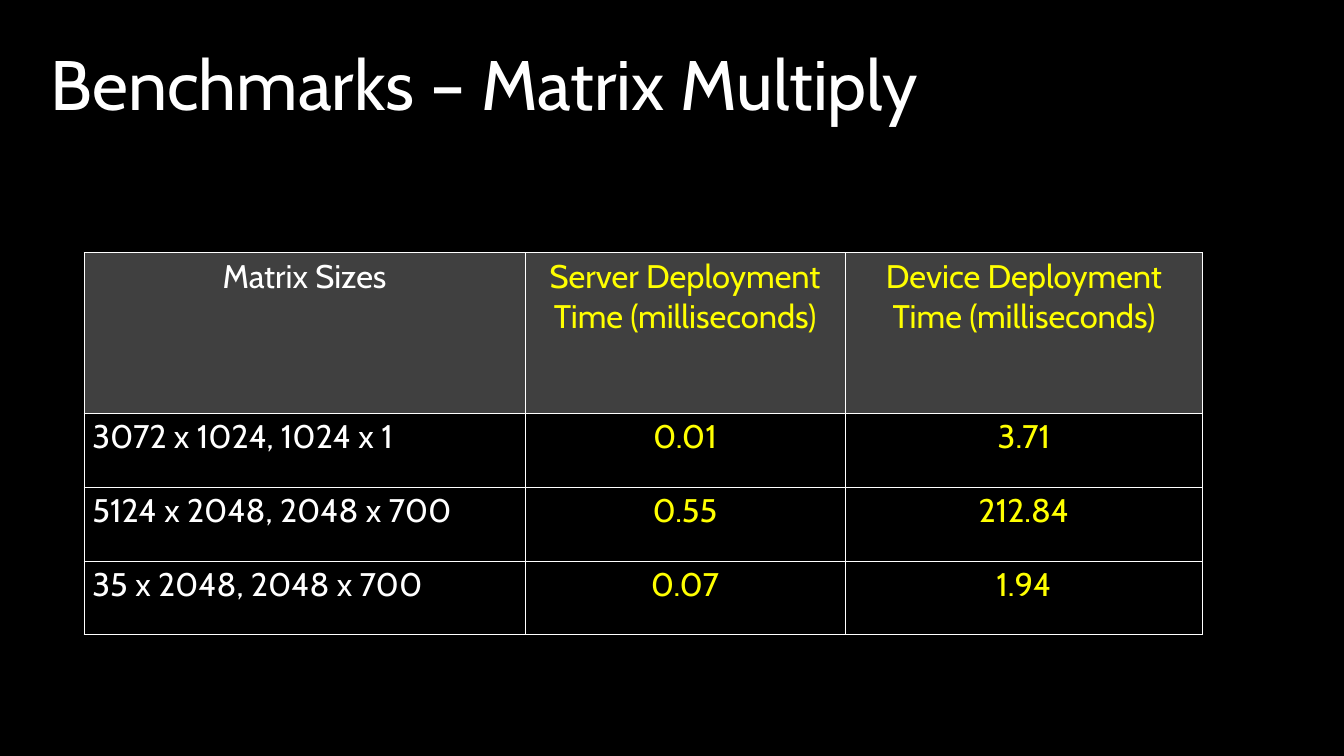
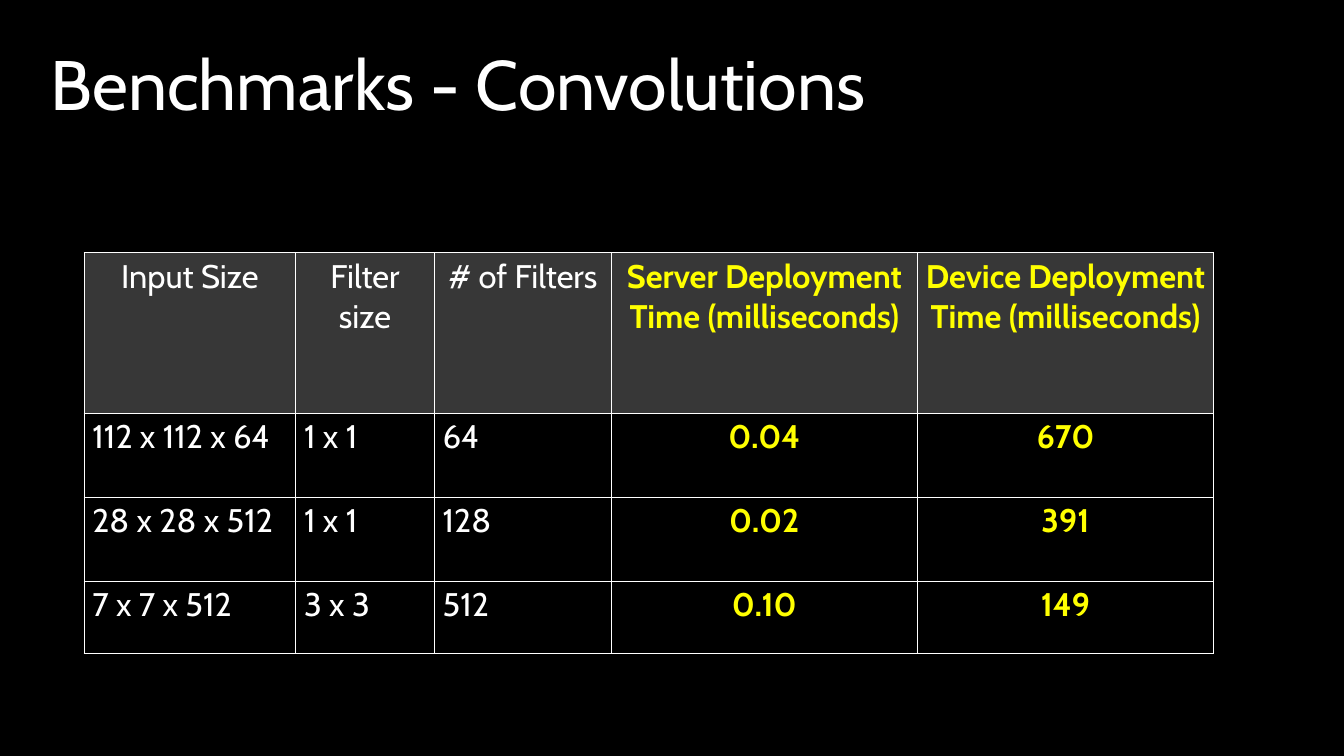
"""Build the two benchmark slides, each a title above a bordered table."""
from lxml.etree import SubElement
from pptx import Presentation
from pptx.dml.color import RGBColor
from pptx.enum.text import MSO_ANCHOR, MSO_AUTO_SIZE, PP_ALIGN
from pptx.oxml.ns import qn
from pptx.util import Inches, Pt

BLACK = RGBColor(0x00, 0x00, 0x00)
WHITE = RGBColor(0xFF, 0xFF, 0xFF)
YELLOW = RGBColor(0xFF, 0xFF, 0x00)
DARK_GRAY = RGBColor(0x40, 0x40, 0x40)
DEEP_GRAY = RGBColor(0x37, 0x37, 0x37)

FONT = "Cabin"
TITLE_FONT = {"name": FONT, "size": Pt(60), "bold": False}
CELL_FONT = {"name": FONT, "size": Pt(28)}
TITLE_FRAME = {
    "margin_left": Inches(0.1), "margin_right": Inches(0.1),
    "margin_top": Inches(0.1), "margin_bottom": Inches(0.1),
    "vertical_anchor": MSO_ANCHOR.TOP, "word_wrap": True,
    "auto_size": MSO_AUTO_SIZE.NONE,
}
TITLE_AREA = {"left": Inches(0.5), "top": Inches(0.5),
              "width": Inches(15), "height": Inches(1.2)}
TABLE_LEFT, TABLE_TOP = 1, 3.01
BORDER_WIDTH = Pt(0.96)
BORDER_SIDES = ("a:lnL", "a:lnR", "a:lnT", "a:lnB")
TIME_COLUMNS = 2
TIME_HEADERS = ["Server Deployment\nTime (milliseconds)",
                "Device Deployment\nTime (milliseconds)"]

BENCHMARKS = [
    {
        "title": "Benchmarks – Matrix Multiply",
        "header_fill": DARK_GRAY,
        "bold_times": False,
        "columns": [5.25, 3.81, 4.26],
        "heights": [1.91, 0.88, 0.88, 0.88],
        "rows": [
            ["Matrix Sizes", *TIME_HEADERS],
            ["3072 x 1024, 1024 x 1", "0.01", "3.71"],
            ["5124 x 2048, 2048 x 700", "0.55", "212.84"],
            ["35 x 2048, 2048 x 700", "0.07", "1.94"],
        ],
    },
    {
        "title": "Benchmarks - Convolutions",
        "header_fill": DEEP_GRAY,
        "bold_times": True,
        "columns": [2.52, 1.65, 2.11, 3.64, 3.53],
        "heights": [1.91, 1, 1, 0.86],
        "rows": [
            ["Input Size", "Filter size", "# of Filters", *TIME_HEADERS],
            ["112 x 112 x 64", "1 x 1", "64", "0.04", "670"],
            ["28 x 28 x 512", "1 x 1", "128", "0.02", "391"],
            ["7 x 7 x 512", "3 x 3", "512", "0.10", "149"],
        ],
    },
]


def apply(target, values):
    for name, value in values.items():
        setattr(target, name, value)


def style_paragraph(para, align, color, font):
    para.alignment = align
    for span in para.runs:
        apply(span.font, font)
        span.font.color.rgb = color


def add_title(page, text):
    title = page.shapes.title
    apply(title, TITLE_AREA)
    apply(title.text_frame, TITLE_FRAME)
    title.text_frame.text = text
    para = title.text_frame.paragraphs[0]
    para.line_spacing = 0.9
    style_paragraph(para, PP_ALIGN.LEFT, WHITE, TITLE_FONT)


def add_borders(cell):
    properties = cell._tc.get_or_add_tcPr()
    for side in BORDER_SIDES:
        line = SubElement(properties, qn(side), w=str(BORDER_WIDTH))
        fill = SubElement(line, qn("a:solidFill"))
        SubElement(fill, qn("a:srgbClr"), val=str(WHITE))


def add_benchmark_table(page, benchmark):
    rows, columns, heights = (benchmark[key] for key in ("rows", "columns", "heights"))
    area = [Inches(n) for n in (TABLE_LEFT, TABLE_TOP, sum(columns), sum(heights))]
    table = page.shapes.add_table(len(rows), len(columns), *area).table
    table.first_row = table.horz_banding = False
    for column, width in zip(table.columns, columns):
        column.width = Inches(width)
    for row, height in zip(table.rows, heights):
        row.height = Inches(height)
    first_time = len(columns) - TIME_COLUMNS
    for r, texts in enumerate(rows):
        for c, text in enumerate(texts):
            is_header, is_time = r == 0, c >= first_time
            cell = table.cell(r, c)
            add_borders(cell)
            cell.fill.solid()
            cell.fill.fore_color.rgb = benchmark["header_fill"] if is_header else BLACK
            cell.text = text
            align = PP_ALIGN.CENTER if is_header or is_time else PP_ALIGN.LEFT
            font = {**CELL_FONT, "bold": is_time and benchmark["bold_times"]}
            for para in cell.text_frame.paragraphs:
                style_paragraph(para, align, YELLOW if is_time else WHITE, font)


def main():
    deck = Presentation()
    deck.slide_width, deck.slide_height = Inches(16), Inches(9)
    background = deck.slide_master.background.fill
    background.solid()
    background.fore_color.rgb = BLACK
    title_only = deck.slide_layouts.get_by_name("Title Only")
    for benchmark in BENCHMARKS:
        page = deck.slides.add_slide(title_only)
        add_title(page, benchmark["title"])
        add_benchmark_table(page, benchmark)
    deck.save("out.pptx")


if __name__ == "__main__":
    main()
